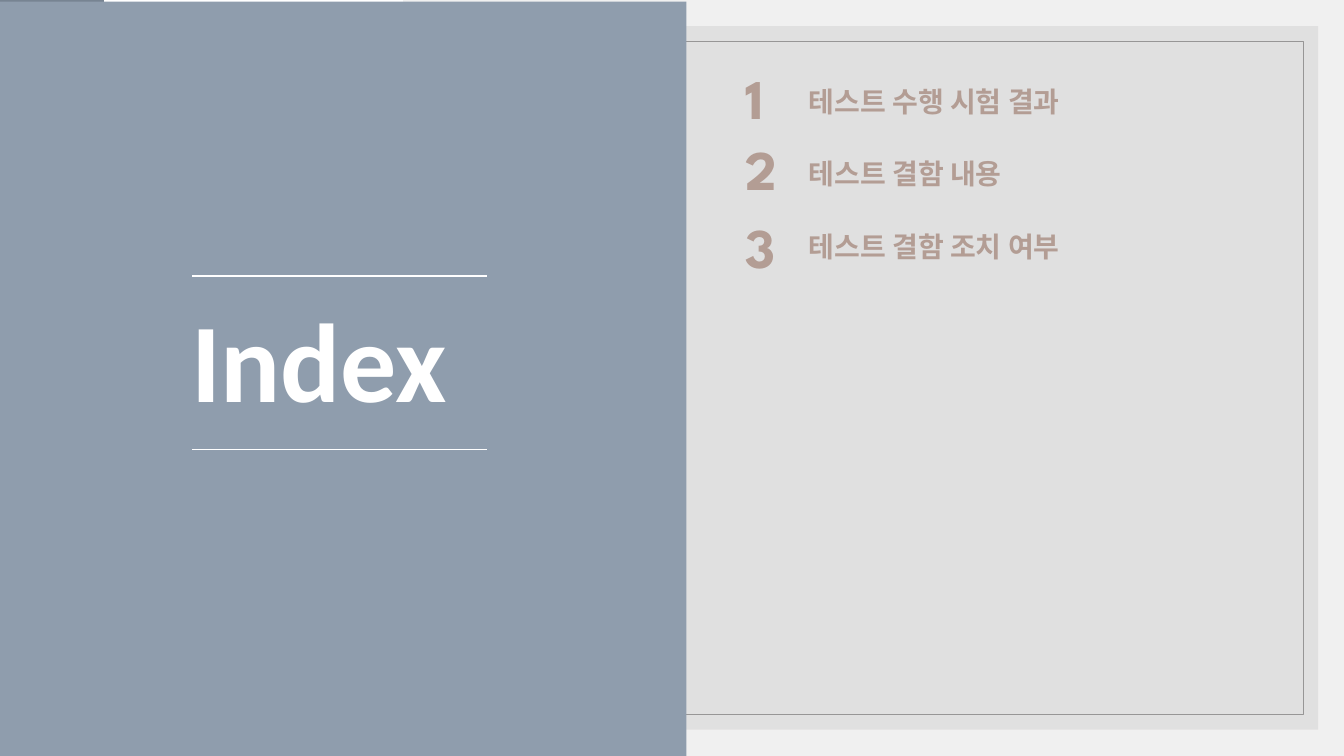
"""Build the Index slide with a title panel and a numbered list."""
from lxml.etree import SubElement
from pptx import Presentation
from pptx.dml.color import RGBColor
from pptx.enum.shapes import MSO_CONNECTOR, MSO_SHAPE
from pptx.enum.text import MSO_ANCHOR, MSO_AUTO_SIZE, PP_ALIGN
from pptx.oxml.ns import qn
from pptx.util import Cm, Pt

TITLE = "Index"
ITEMS = ["테스트 수행 시험 결과", "테스트 결함 내용", "테스트 결함 조치 여부"]
NUMBER_TOPS = [1.47, 3.26, 5.23]
RULE_TOPS = [6.95, 11.33]
PANELS = [
    {"box": (0.66, 0.66, 32.56, 17.73), "fill": "BFBFBF", "alpha": 60},
    {"box": (1.04, 1.04, 31.8, 16.97), "line": "262626"},
    {"box": (10.16, 0, 23.71, 19.05), "fill": "E7E6E6", "alpha": 59},
    {"box": (0, 0, 2.62, 1.09), "fill": "778492"},
    {"box": (0, 0.04, 17.3, 19.01), "fill": "8F9DAD"},
]
TITLE_BOX = (4.56, 7.19, 9.5, 3.68)
LIST_BOX = (20.12, 1.57, 19.81, 16.51)
NUMBER_LEFT, NUMBER_WIDTH, NUMBER_HEIGHT = 18.54, 1.37, 1.96
RULE_LEFT, RULE_RIGHT = 4.85, 12.27
ACCENT, WHITE = "B39D94", "FFFFFF"


def rgb(value):
    return RGBColor.from_string(value)


def add_panel(s, box, fill=None, line=None, alpha=None):
    sp = s.shapes.add_shape(MSO_SHAPE.RECTANGLE, *map(Cm, box))
    sp.shadow.inherit = False
    if fill:
        sp.fill.solid()
        sp.fill.fore_color.rgb = rgb(fill)
    else:
        sp.fill.background()
    if alpha:
        color = sp.element.find(".//" + qn("a:srgbClr"))
        SubElement(color, qn("a:alpha"), val=str(alpha * 1000))
    if line:
        sp.line.color.rgb = rgb(line)
        sp.line.width = Pt(0.5)
    else:
        sp.line.fill.background()


def add_rule(s, top):
    ln = s.shapes.add_connector(MSO_CONNECTOR.STRAIGHT, Cm(RULE_LEFT), Cm(top), Cm(RULE_RIGHT), Cm(top))
    ln.line.color.rgb = rgb(WHITE)
    ln.line.width = Pt(1)
    SubElement(ln.element.spPr, qn("a:effectLst"))


def write(p, text, size, font, color, spacing=None, before=0):
    p.alignment = PP_ALIGN.LEFT
    p.space_before = Pt(before)
    if spacing:
        p.line_spacing = spacing
    r = p.add_run()
    r.text = text
    r.font.size = Pt(size)
    r.font.name = font
    r.font.bold = True
    r.font.color.rgb = rgb(color)
    SubElement(r.font._element, qn("a:ea"), typeface=font)


def place(sp, box):
    sp.left, sp.top, sp.width, sp.height = map(Cm, box)
    sp.element.getparent().append(sp.element)
    tf = sp.text_frame
    tf.word_wrap = True
    tf.auto_size = MSO_AUTO_SIZE.NONE
    tf.vertical_anchor = MSO_ANCHOR.TOP
    return tf


def main():
    prs = Presentation()
    prs.slide_width, prs.slide_height = Cm(33.87), Cm(19.05)
    s = prs.slides.add_slide(prs.slide_layouts[1])

    for panel in PANELS:
        add_panel(s, **panel)

    tf = place(s.placeholders[1], LIST_BOX)
    for i, item in enumerate(ITEMS):
        p = tf.add_paragraph() if i else tf.paragraphs[0]
        write(p, item, 20, "Noto Sans CJK KR", ACCENT, spacing=1.5, before=16)
        pPr = p._p.get_or_add_pPr()
        pPr.set("marL", "0")
        pPr.set("indent", "0")
        SubElement(pPr, qn("a:buNone"))

    for number, top in enumerate(NUMBER_TOPS, 1):
        box = (NUMBER_LEFT, top, NUMBER_WIDTH, NUMBER_HEIGHT)
        tf = s.shapes.add_textbox(*map(Cm, box)).text_frame
        tf.word_wrap = False
        tf.auto_size = MSO_AUTO_SIZE.SHAPE_TO_FIT_TEXT
        write(tf.paragraphs[0], str(number), 40, "League Spartan", ACCENT)

    tf = place(s.shapes.title, TITLE_BOX)
    write(tf.paragraphs[0], TITLE, 80, "Calibri", WHITE)
    for top in RULE_TOPS:
        add_rule(s, top)

    prs.save("out.pptx")


if __name__ == "__main__":
    main()
